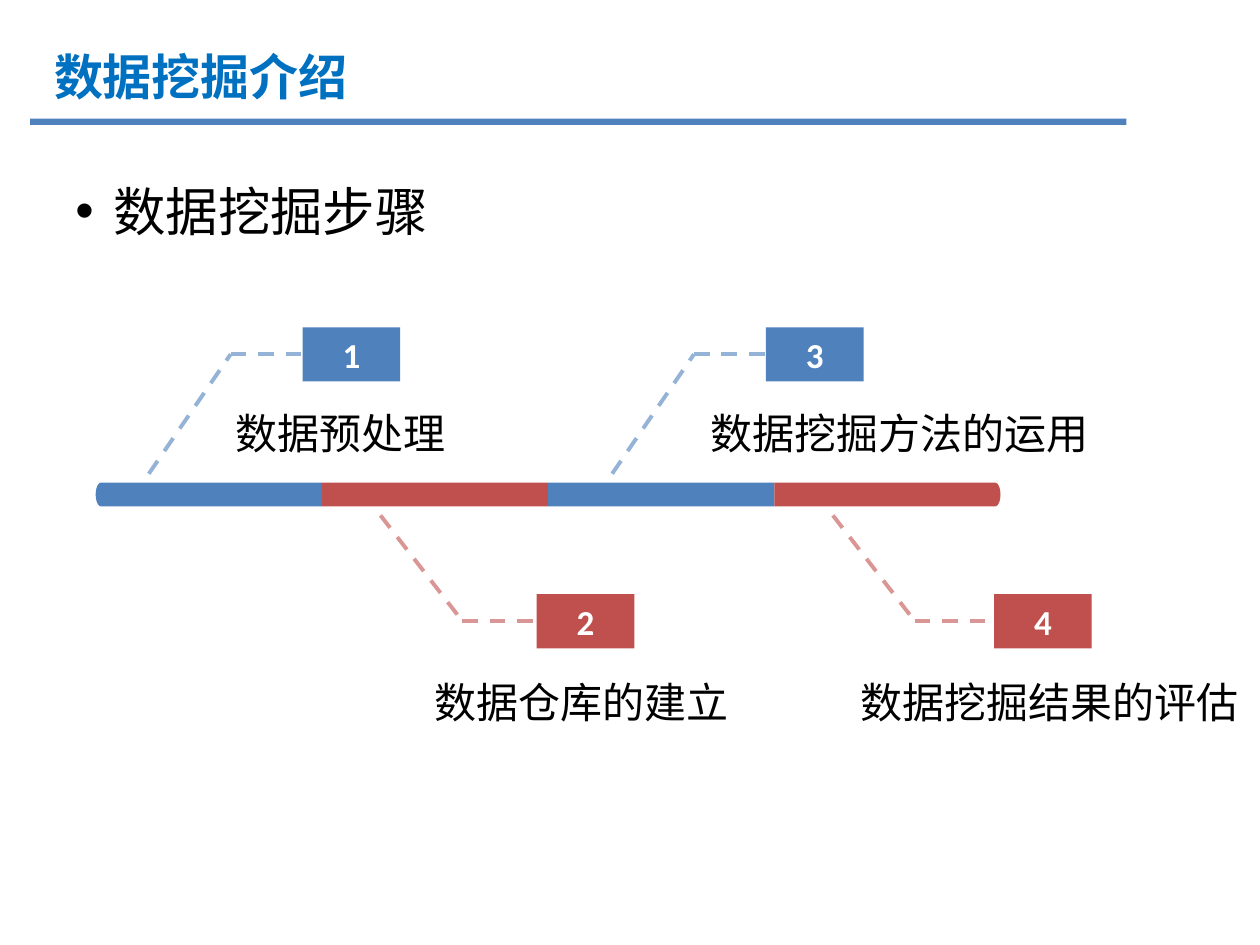
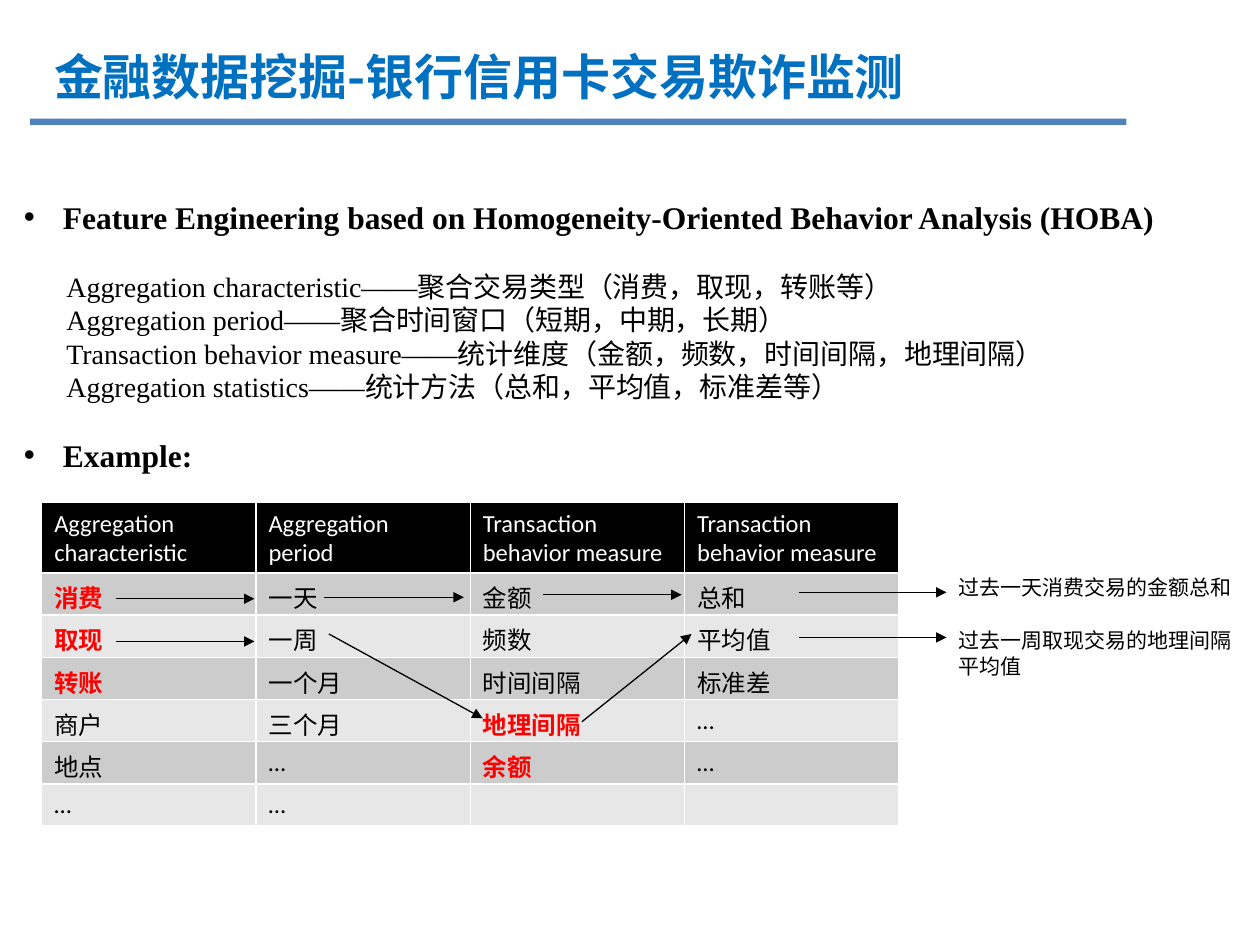
from dataclasses import dataclass
from math import cos, pi, sin

from lxml.etree import SubElement
from pptx import Presentation
from pptx.dml.color import RGBColor
from pptx.enum.dml import MSO_LINE
from pptx.enum.shapes import MSO_CONNECTOR as CONN, MSO_SHAPE as SHAPE
from pptx.enum.text import MSO_ANCHOR as ANCHOR, PP_ALIGN as ALIGN
from pptx.oxml.ns import qn
from pptx.util import Cm, Pt


@dataclass(frozen=True)
class Theme:
    title: str = "0070C0"
    blue: str = "4F81BD"
    red: str = "C0504D"
    light_blue: str = "95B3D7"
    light_red: str = "D99694"
    ink: str = "000000"
    paper: str = "FFFFFF"
    accent: str = "FF0000"
    dark_band: str = "CCCCCC"
    light_band: str = "E7E7E7"
    cjk: str = "Noto Sans CJK SC"
    sans: str = "Calibri"
    serif: str = "Times New Roman"
    note: str = "Arial"
    title_size: int = 28
    body_size: int = 30
    label_size: int = 24
    number_size: int = 20
    heading_size: int = 18
    detail_size: int = 16
    table_size: int = 14
    note_size: int = 12


T = Theme()

STEPS_TITLE = "数据挖掘介绍"
STEPS_HEADING = "数据挖掘步骤"
# label, leader start x, number box x, label x, label width
STEPS = [
    ("数据预处理", 3.0, 6.1, 4.5, 5.13),
    ("数据仓库的建立", 7.67, 10.82, 8.51, 6.63),
    ("数据挖掘方法的运用", 12.34, 15.44, 14.07, 8.43),
    ("数据挖掘结果的评估", 16.79, 20.04, 17.09, 8.31),
]

FRAUD_TITLE = "金融数据挖掘-银行信用卡交易欺诈监测"
HEADINGS = [
    ("Feature Engineering based on Homogeneity-Oriented Behavior Analysis (HOBA)", 3.86, 23.55),
    ("Example:", 8.66, 3.96),
]
DETAILS = [
    "Aggregation characteristic——聚合交易类型（消费，取现，转账等）",
    "Aggregation period——聚合时间窗口（短期，中期，长期）",
    "Transaction behavior measure——统计维度（金额，频数，时间间隔，地理间隔）",
    "Aggregation statistics——统计方法（总和，平均值，标准差等）",
]
FEATURES = [
    ("Aggregation characteristic", "Aggregation period",
     "Transaction behavior measure", "Transaction behavior measure"),
    ("消费", "一天", "金额", "总和"),
    ("取现", "一周", "频数", "平均值"),
    ("转账", "一个月", "时间间隔", "标准差"),
    ("商户", "三个月", "地理间隔", "…"),
    ("地点", "…", "余额", "…"),
    ("…", "…", "", ""),
]
HIGHLIGHTS = {"消费", "取现", "转账", "地理间隔", "余额"}
ARROWS = [
    (2.34, 12.07, 5.13, 12.07),
    (6.53, 12.04, 9.35, 12.04),
    (10.95, 11.99, 13.74, 11.99),
    (16.1, 11.94, 19.08, 11.94),
    (2.34, 12.93, 5.13, 12.93),
    (6.63, 12.78, 9.73, 14.48),
    (11.73, 14.55, 13.94, 12.78),
    (16.1, 12.85, 19.08, 12.85),
]
NOTES = [
    ("过去一天消费交易的金额总和", 11.46, 0.76),
    ("过去一周取现交易的地理间隔平均值", 12.52, 1.27),
]


def rgb(code):
    return RGBColor.from_string(code)


def style(p, font, size, color, bold=False):
    for r in p.runs:
        r.font.name, r.font.size, r.font.bold = font, Pt(size), bold
        r.font.color.rgb = rgb(color)
        ea = SubElement(r._r.get_or_add_rPr(), qn("a:ea"))
        ea.set("typeface", T.cjk)


def add_text(s, box, lines, font, size, color=T.ink, bold=False, spacing=None, bullet=None):
    tf = s.shapes.add_textbox(*map(Cm, box)).text_frame
    tf.word_wrap = True
    tf.text = "\n".join(lines)
    for p in tf.paragraphs:
        if bullet:
            pPr = p._p.get_or_add_pPr()
            pPr.set("marL", str(Cm(bullet)))
            pPr.set("indent", str(-Cm(bullet)))
            SubElement(pPr, qn("a:buFont")).set("typeface", T.note)
            SubElement(pPr, qn("a:buChar")).set("char", "•")
        if spacing:
            p.line_spacing = Pt(spacing)
        style(p, font, size, color, bold)
    return tf


def paint(sp, color):
    sp.shadow.inherit = False
    sp.fill.solid()
    sp.fill.fore_color.rgb = rgb(color)
    sp.line.fill.background()


def add_rect(s, box, color):
    sp = s.shapes.add_shape(SHAPE.RECTANGLE, *map(Cm, box))
    paint(sp, color)
    return sp


def add_line(s, ends, color, width, dashed=False, arrow=False):
    c = s.shapes.add_connector(CONN.STRAIGHT, *map(Cm, ends))
    c.line.color.rgb, c.line.width = rgb(color), Pt(width)
    if dashed:
        c.line.dash_style = MSO_LINE.DASH
    if arrow:
        SubElement(c.line._get_or_add_ln(), qn("a:tailEnd")).set("type", "triangle")
    SubElement(c._element.spPr, qn("a:effectLst"))


def add_slide(prs, title):
    s = prs.slides.add_slide(prs.slide_layouts[6])
    tf = add_text(s, (0.84, 0.74, 22.86, 1.57), [title], T.cjk, T.title_size, T.title, True)
    tf.vertical_anchor = ANCHOR.MIDDLE
    add_rect(s, (0.61, 2.39, 22.1, 0.13), T.blue)
    return s


def add_capped_bar(s, flat_x, cap_x, top, height, color):
    depth = 0.11 if cap_x > flat_x else -0.11
    middle, half = top + height / 2, height / 2
    angles = [-pi / 2 + pi * i / 16 for i in range(17)]
    curve = [(Cm(cap_x - depth + depth * cos(a)), Cm(middle + half * sin(a))) for a in angles]
    fb = s.shapes.build_freeform(Cm(flat_x), Cm(top))
    fb.add_line_segments(curve + [(Cm(flat_x), Cm(top + height))], close=True)
    paint(fb.convert_to_shape(), color)


def build_steps(prs):
    s = add_slide(prs, STEPS_TITLE)
    add_text(s, (1.27, 3.38, 22.86, 13.72), [STEPS_HEADING], T.sans, T.body_size,
             spacing=39, bullet=0.76)
    left, top, width, height = 1.93, 9.73, 4.56, 0.48
    for i, (label, start, box_x, label_x, label_w) in enumerate(STEPS):
        above = i % 2 == 0
        color, light = (T.blue, T.light_blue) if above else (T.red, T.light_red)
        near, far, label_y = (9.55, 7.14, 7.77) if above else (10.39, 12.52, 13.18)
        x = left + i * width
        if i == 0:
            add_capped_bar(s, x + width, x, top, height, color)
        elif i == len(STEPS) - 1:
            add_capped_bar(s, x, x + width, top, height, color)
        else:
            add_rect(s, (x, top, width, height), color)
        elbow = start + 1.65
        add_line(s, (start, near, elbow, far), light, 2.25, dashed=True)
        add_line(s, (elbow, far, elbow + 1.61, far), light, 2.25, dashed=True)
        sp = add_rect(s, (box_x, far - 0.54, 1.97, 1.09), color)
        tf = sp.text_frame
        tf.text = str(i + 1)
        tf.vertical_anchor = ANCHOR.MIDDLE
        p = tf.paragraphs[0]
        p.alignment = ALIGN.CENTER
        style(p, T.sans, T.number_size, T.paper, True)
        add_text(s, (label_x, label_y, label_w, 1.9), [label], T.sans, T.label_size, spacing=38)


def add_borders(cell):
    tcPr = cell._tc.get_or_add_tcPr()
    for i, side in enumerate(("lnL", "lnR", "lnT", "lnB")):
        ln = SubElement(tcPr, qn("a:" + side))
        ln.set("w", str(Pt(1)))
        fill = SubElement(ln, qn("a:solidFill"))
        SubElement(fill, qn("a:srgbClr")).set("val", T.paper)
        tcPr.insert(i, ln)


def add_features(s):
    frame = s.shapes.add_table(len(FEATURES), len(FEATURES[0]),
                               Cm(0.84), Cm(10.13), Cm(17.3), Cm(6.53))
    table = frame.table
    for col in table.columns:
        col.width = Cm(4.32)
    for i, values in enumerate(FEATURES):
        table.rows[i].height = Cm(0.85 if i else 1.42)
        band = (T.dark_band if i % 2 else T.light_band) if i else T.ink
        for j, value in enumerate(values):
            cell = table.cell(i, j)
            cell.margin_bottom = 0
            cell.fill.solid()
            cell.fill.fore_color.rgb = rgb(band)
            add_borders(cell)
            p = cell.text_frame.paragraphs[0]
            p.text = value
            strong = value in HIGHLIGHTS
            color = T.accent if strong else T.ink if i else T.paper
            style(p, T.sans, T.table_size, color, strong)
            if not value:
                SubElement(p._p, qn("a:endParaRPr")).set("sz", str(T.table_size * 100))


def build_fraud(prs):
    s = add_slide(prs, FRAUD_TITLE)
    for text, top, width in HEADINGS:
        add_text(s, (0.23, top, width, 1.02), [text], T.serif, T.heading_size,
                 bold=True, bullet=0.79)
    add_text(s, (1.09, 5.3, 23.29, 3.0), DETAILS, T.serif, T.detail_size, spacing=19.2)
    add_features(s)
    for ends in ARROWS:
        add_line(s, ends, T.ink, 0.75, arrow=True)
    for text, top, height in NOTES:
        add_text(s, (19.08, top, 6.2, height), [text], T.note, T.note_size, spacing=14.6)


def main():
    prs = Presentation()
    prs.slide_width, prs.slide_height = Cm(25.4), Cm(19.05)
    build_steps(prs)
    build_fraud(prs)
    prs.save("out.pptx")


if __name__ == "__main__":
    main()
